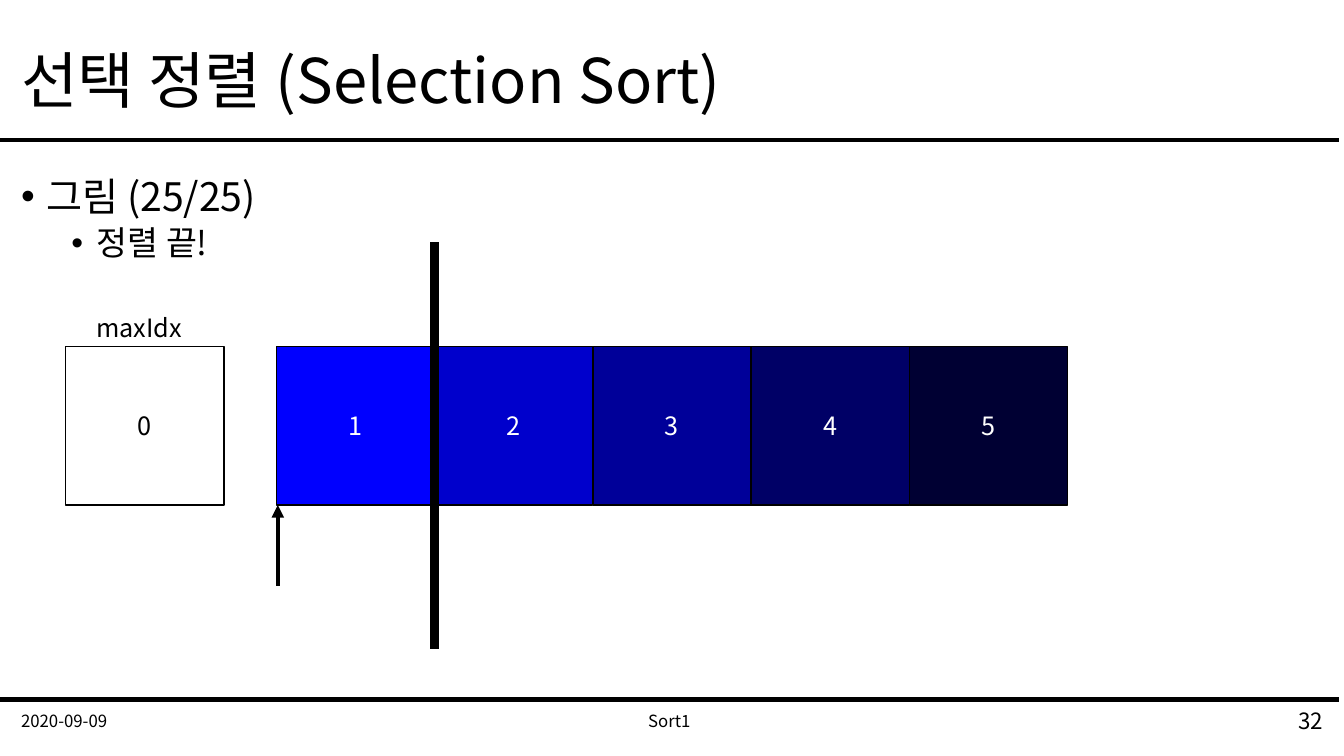
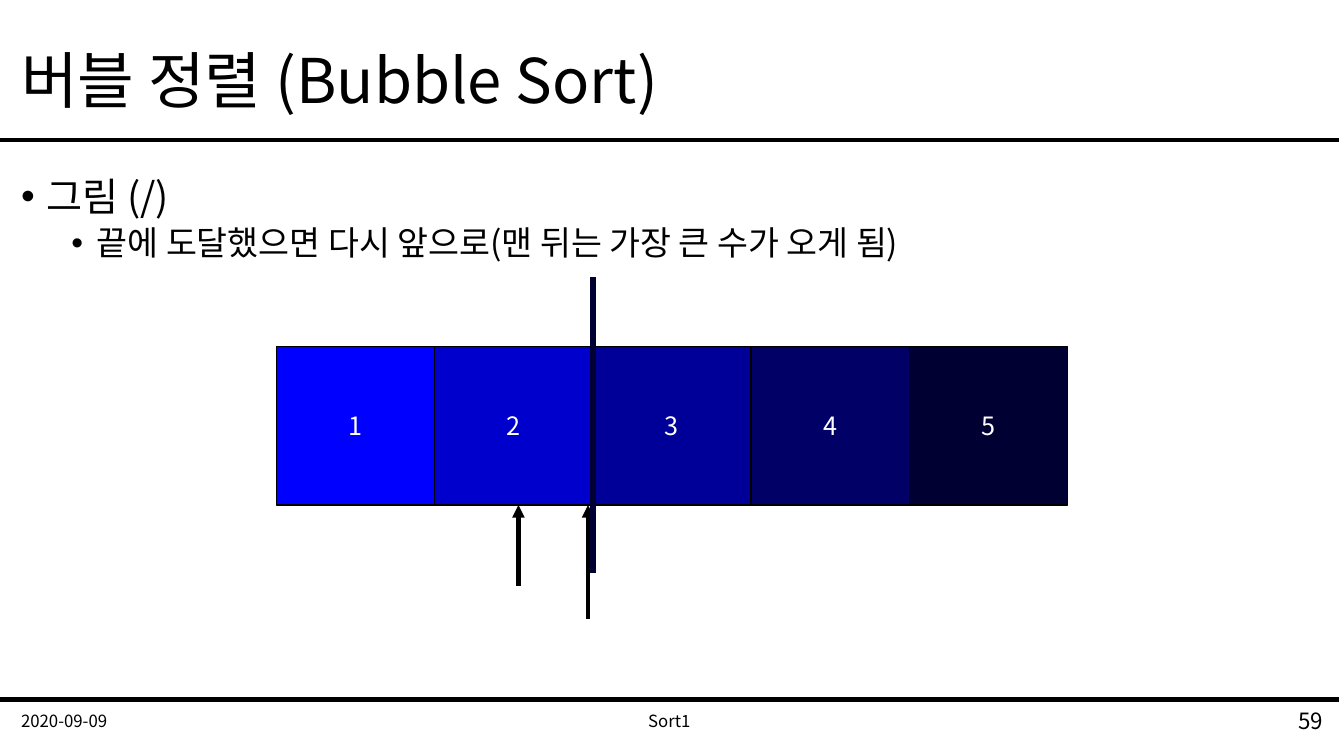
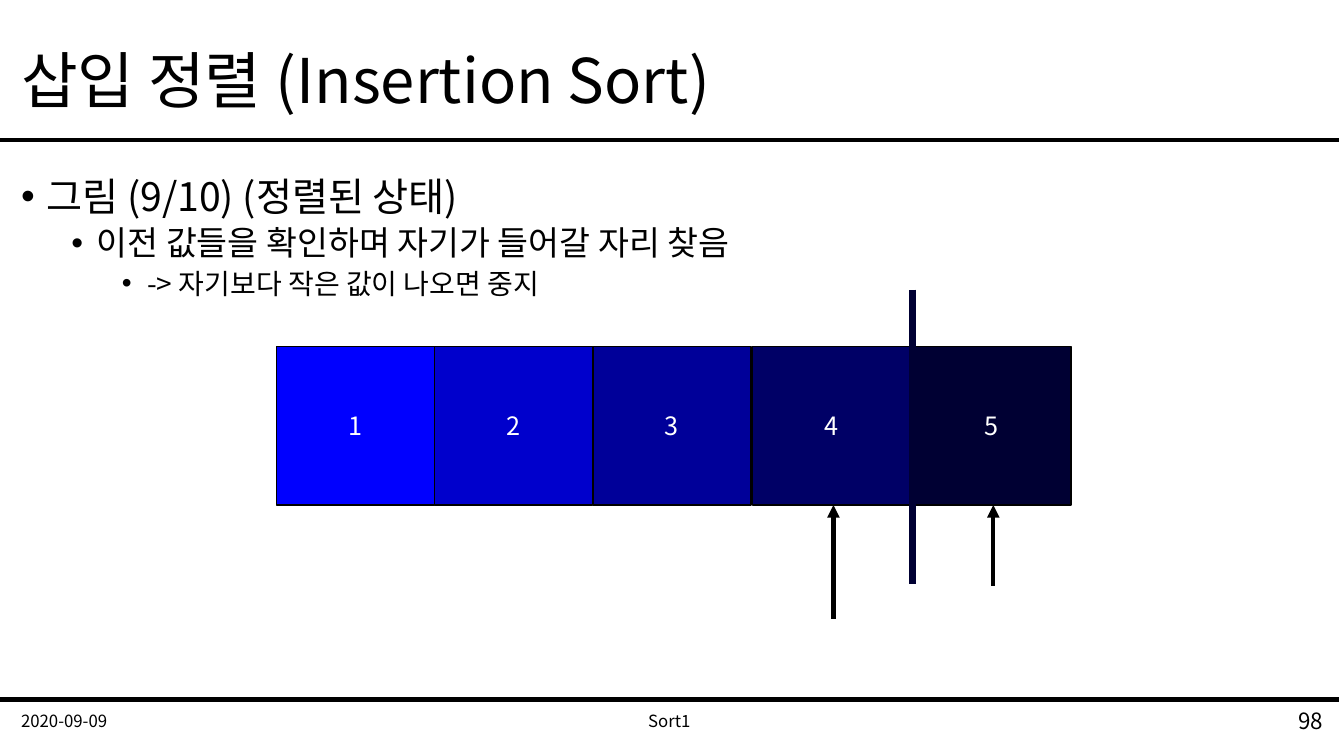
from dataclasses import dataclass

from lxml import etree
from pptx import Presentation
from pptx.dml.color import RGBColor
from pptx.enum.shapes import MSO_CONNECTOR, MSO_SHAPE
from pptx.enum.text import MSO_ANCHOR, PP_ALIGN
from pptx.oxml.ns import qn
from pptx.util import Inches, Pt

LEFT, CENTER, RIGHT = PP_ALIGN.LEFT, PP_ALIGN.CENTER, PP_ALIGN.RIGHT
TOP, MIDDLE = MSO_ANCHOR.TOP, MSO_ANCHOR.MIDDLE
RECTANGLE = MSO_SHAPE.RECTANGLE
STRAIGHT = MSO_CONNECTOR.STRAIGHT


@dataclass(frozen=True)
class Theme:
    font: str = "Noto Sans CJK KR"
    ink: str = "000000"
    paper: str = "FFFFFF"
    values: tuple = ("0000FF", "0000CC", "000099", "000066", "000033")
    title: int = 44
    levels: tuple = (28, 24, 20)
    label: int = 18
    number: int = 16
    footer: int = 12
    outline: float = 1
    rule: float = 3
    divider: float = 4.5
    heavy: float = 6


THEME = Theme()
WIDTH, HEIGHT = Inches(13.33), Inches(7.5)
GRID_LEFT, GRID_TOP, CELL = Inches(2.74), Inches(3.44), Inches(1.57)
SHORT_ARROW, LONG_ARROW = 1.51, 1.72


def share(x, y):
    """Turn percentages of the slide's width and height into lengths."""
    return int(WIDTH * x / 100), int(HEIGHT * y / 100)


def grid(column, row):
    """Return the point at a column and row, counted in array cells."""
    return int(GRID_LEFT + column * CELL), int(GRID_TOP + row * CELL)


def write(para, text, size=THEME.label, color=THEME.ink, align=LEFT, spacing=1.0):
    para.alignment = align
    para.line_spacing = spacing
    span = para.add_run()
    span.text = text
    span.font.size = Pt(size)
    span.font.color.rgb = RGBColor.from_string(color)
    span.font.name = THEME.font
    east_asian = etree.SubElement(span.font._element, qn("a:ea"))
    east_asian.set("typeface", THEME.font)


def add_bullet(para, level):
    properties = para._p.get_or_add_pPr()
    properties.set("marL", str(Inches(0.25 + 0.5 * level)))
    properties.set("indent", str(-Inches(0.25)))
    etree.SubElement(properties, qn("a:buFont")).set("typeface", "Arial")
    etree.SubElement(properties, qn("a:buChar")).set("char", "•")


class SortDeck:
    def __init__(self):
        self.deck = Presentation()
        self.deck.slide_width, self.deck.slide_height = WIDTH, HEIGHT
        self.page = None

    def add_page(self, title, number, points):
        self.page = self.deck.slides.add_slide(self.deck.slide_layouts[6])
        for height in (18.53, 92.53):
            self.line(share(0, height), share(99.6, height))
        self.text(title, share(0.83, 2), share(98.33, 18),
                  size=THEME.title, spacing=0.9)
        self.bullets(points)
        footers = (
            (str(number), 76.67, 22.5, THEME.number, RIGHT),
            ("2020-09-09", 0.83, 22.5, THEME.footer, LEFT),
            ("Sort1", 32.93, 33.75, THEME.footer, CENTER),
        )
        for text, left, width, size, align in footers:
            self.text(text, share(left, 92.67), share(width, 5.33),
                      size=size, align=align)

    def frame(self, corner, extent, anchor=MIDDLE):
        frame = self.page.shapes.add_textbox(*corner, *extent).text_frame
        frame.word_wrap = True
        frame.vertical_anchor = anchor
        return frame

    def text(self, text, corner, extent, anchor=MIDDLE, **style):
        write(self.frame(corner, extent, anchor).paragraphs[0], text, **style)

    def bullets(self, points):
        """Write the points, each one level deeper than the one before."""
        frame = self.frame(share(0.83, 22.8), share(98.33, 67.07), TOP)
        for level, point in enumerate(points):
            para = frame.add_paragraph() if level else frame.paragraphs[0]
            para.level = level
            if level:
                para.space_before = Pt(5)
            add_bullet(para, level)
            write(para, point, size=THEME.levels[level], spacing=0.9)

    def line(self, start, end, color=THEME.ink, width=THEME.rule, arrow=False):
        line = self.page.shapes.add_connector(STRAIGHT, *start, *end)
        line.line.color.rgb = RGBColor.from_string(color)
        line.line.width = Pt(width)
        if arrow:
            outline = line.line._get_or_add_ln()
            etree.SubElement(outline, qn("a:tailEnd")).set("type", "triangle")
        etree.SubElement(line._element.spPr, qn("a:effectLst"))

    def cell(self, value, column, fill, color=THEME.paper):
        box = self.page.shapes.add_shape(RECTANGLE, *grid(column, 0), CELL, CELL)
        box.shadow.inherit = False
        box.fill.solid()
        box.fill.fore_color.rgb = RGBColor.from_string(fill)
        box.line.color.rgb = RGBColor.from_string(THEME.ink)
        box.line.width = Pt(THEME.outline)
        box.text_frame.vertical_anchor = MIDDLE
        write(box.text_frame.paragraphs[0], str(value), color=color, align=CENTER)

    def array(self, columns=range(5)):
        for value, (column, fill) in enumerate(zip(columns, THEME.values), 1):
            self.cell(value, column, fill)

    def pointer(self, column, foot=SHORT_ARROW):
        self.line(grid(column, foot), grid(column, 1), arrow=True)

    def divider(self, column, top, bottom, color=THEME.values[-1],
                width=THEME.divider):
        self.line(grid(column, top), grid(column, bottom), color, width)


def main():
    show = SortDeck()

    show.add_page("선택 정렬 (Selection Sort)", 32, ["그림 (25/25)", "정렬 끝!"])
    show.array()
    show.pointer(0.01)
    show.cell(0, -1.33, THEME.paper, color=THEME.ink)
    show.text("maxIdx", grid(-1.2, -0.25), (int(0.73 * CELL), int(0.25 * CELL)),
              anchor=TOP)
    show.divider(1, -0.66, 1.91, THEME.ink, THEME.heavy)

    show.add_page("버블 정렬 (Bubble Sort)", 59, [
        "그림 (/)",
        "끝에 도달했으면 다시 앞으로(맨 뒤는 가장 큰 수가 오게 됨)",
    ])
    show.array()
    show.pointer(1.53)
    show.pointer(1.97, LONG_ARROW)
    show.divider(2, -0.44, 1.43)

    show.add_page("삽입 정렬 (Insertion Sort)", 98, [
        "그림 (9/10) (정렬된 상태)",
        "이전 값들을 확인하며 자기가 들어갈 자리 찾음",
        "-> 자기보다 작은 값이 나오면 중지",
    ])
    show.array((0, 1, 2, 3.01, 4.02))
    show.divider(4.02, -0.36, 1.5)
    show.pointer(4.53)
    show.pointer(3.52, LONG_ARROW)

    show.deck.save("out.pptx")


if __name__ == "__main__":
    main()
